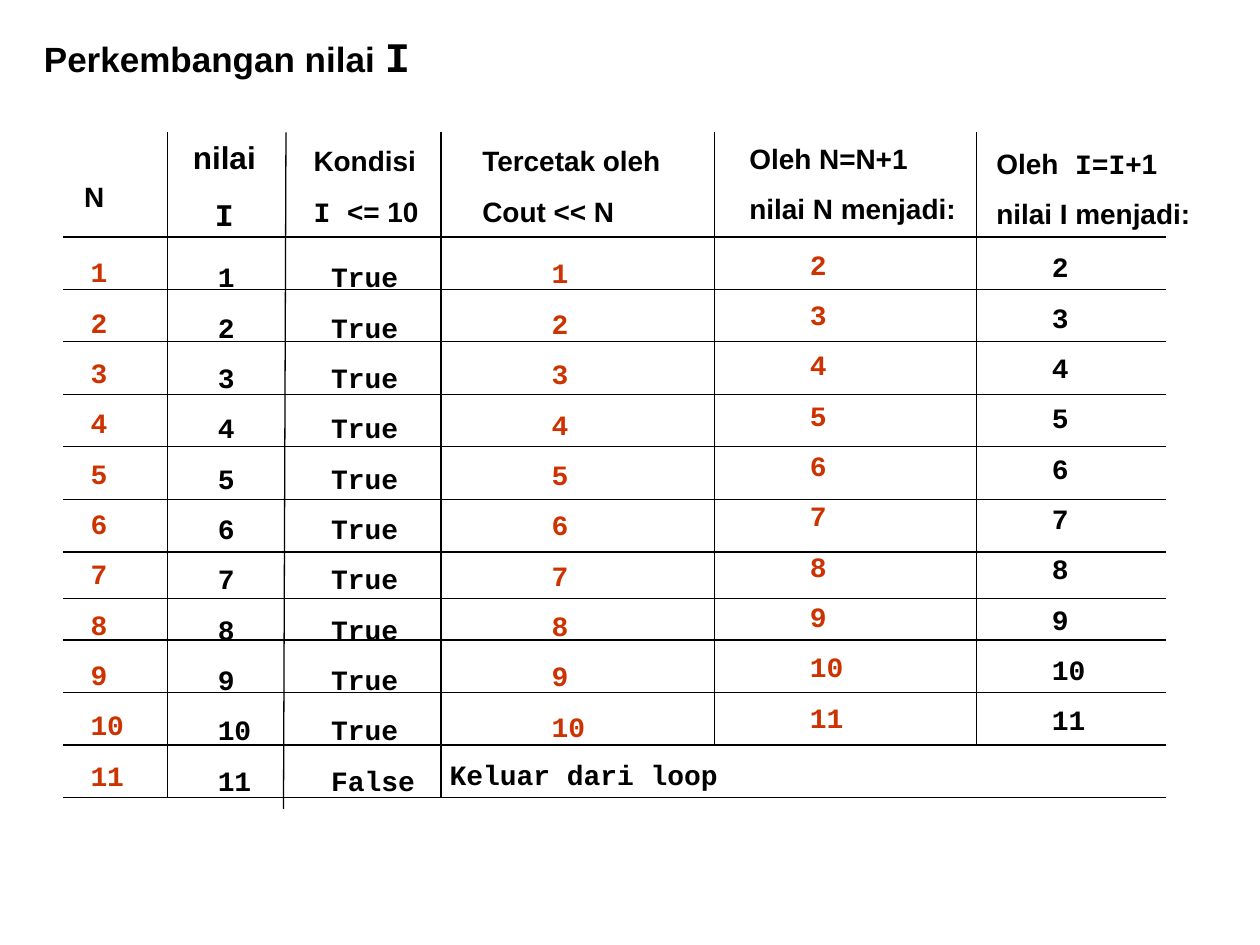
from pptx import Presentation
from pptx.dml.color import RGBColor
from pptx.enum.shapes import MSO_CONNECTOR as Conn
from pptx.enum.text import MSO_AUTO_SIZE as Fit, PP_ALIGN as Align
from pptx.oxml.ns import qn
from pptx.util import Inches, Pt
from lxml.etree import SubElement as add_node

SANS, MONO = "Arial", "Courier New"
BLACK, RED = "000000", "CC3300"


def color(hex_str):
    return RGBColor.from_string(hex_str)


def add_text(slide, box, rows, size=16, hue=BLACK, space=1.5, align=None):
    """Each row is a list of (text, font) or (text, font, size) runs."""
    frame = slide.shapes.add_textbox(*map(Inches, box)).text_frame
    frame.word_wrap = False
    frame.auto_size = Fit.SHAPE_TO_FIT_TEXT
    for i, row in enumerate(rows):
        para = frame.add_paragraph() if i else frame.paragraphs[0]
        para.line_spacing = space
        para.alignment = align
        for text, face, *own in row:
            run = para.add_run()
            run.text = text
            run.font.name = face
            run.font.size = Pt(own[0] if own else size)
            run.font.bold = True
            run.font.color.rgb = color(hue)


def add_column(slide, box, items, hue=BLACK):
    add_text(slide, box, [[(str(item), MONO)] for item in items], hue=hue)


def add_rule(slide, x1, y1, x2, y2):
    rule = slide.shapes.add_connector(Conn.STRAIGHT, *map(Inches, (x1, y1, x2, y2)))
    rule.line.color.rgb = color(BLACK)
    rule.line.width = Pt(0.75)
    add_node(rule._element.spPr, qn("a:effectLst"))


def add_heads(slide):
    add_text(slide, (0.57, 1.38, 0.38, 0.37), [[("N", SANS)]], space=None)
    add_text(slide, (1.42, 0.9, 0.72, 1), [[("nilai", SANS)], [("I", MONO)]],
             size=18, align=Align.CENTER)
    add_text(slide, (2.39, 0.96, 1.05, 0.9),
             [[("Kondisi", SANS)], [("I ", MONO), ("<= 10", SANS)]])
    add_text(slide, (3.73, 0.96, 1.65, 0.9),
             [[("Tercetak oleh", SANS)], [("Cout << N", SANS)]])
    add_text(slide, (5.85, 0.94, 1.86, 0.9),
             [[("Oleh N=N+1", SANS)], [("nilai N menjadi:", SANS)]])
    add_text(slide, (7.81, 0.98, 1.76, 0.9),
             [[("Oleh", SANS), (" I=I", MONO), ("+1", SANS)],
              [("nilai I menjadi:", SANS)]])


def add_values(slide):
    add_column(slide, (0.62, 1.84, 0.49, 4.5), range(1, 12), RED)
    add_column(slide, (1.63, 1.88, 0.49, 4.5), range(1, 12))
    add_column(slide, (2.53, 1.88, 0.89, 4.5), ["True"] * 10 + ["False"])
    add_column(slide, (4.28, 1.85, 0.49, 4.1), range(1, 11), RED)
    add_column(slide, (6.33, 1.78, 0.49, 4.1), range(2, 12), RED)
    add_column(slide, (8.25, 1.8, 0.49, 4.1), range(2, 12))
    add_column(slide, (3.47, 5.83, 2.36, 0.5), ["Keluar dari loop"])


def add_grid(slide):
    # Column rules; the last two stop above the closing row
    for top_x, end_x, end in [(1.33, 1.33, 6.33), (2.27, 2.25, 6.42),
                              (3.5, 3.5, 6.33), (5.67, 5.67, 5.92),
                              (7.75, 7.75, 5.92)]:
        add_rule(slide, top_x, 1.05, end_x, end)
    # Row rules: an even step, but rows 7 and 8 are lower in height
    step = 5 / 12
    y = 1.88
    for gap in [0] + [step] * 6 + [0.37, 0.33] + [step] * 3:
        y += gap
        add_rule(slide, 0.5, y, 9.25, y)


def main():
    deck = Presentation()
    deck.slide_width, deck.slide_height = Inches(10), Inches(7.5)
    slide = deck.slides.add_slide(deck.slide_layouts[6])
    # Title
    add_text(slide, (0.25, 0.19, 3.15, 0.5),
             [[("Perkembangan nilai ", SANS, 20), ("I", MONO, 24)]], space=None)
    # Trace of the loop
    add_heads(slide)
    add_values(slide)
    add_grid(slide)
    deck.save("out.pptx")


if __name__ == "__main__":
    main()
